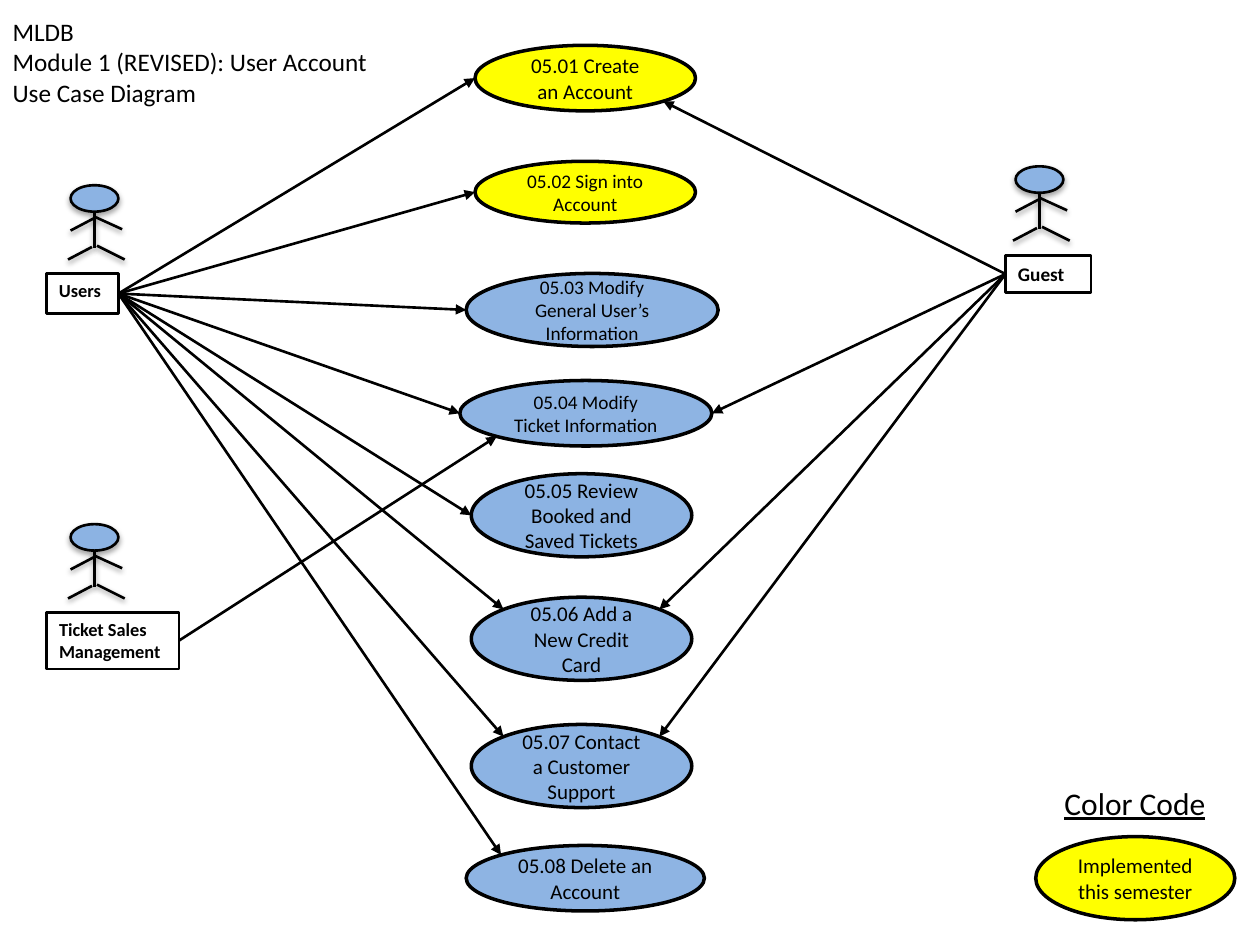
from lxml import etree
from pptx import Presentation
from pptx.dml.color import RGBColor
from pptx.enum.shapes import MSO_CONNECTOR, MSO_SHAPE
from pptx.enum.text import MSO_ANCHOR, MSO_AUTO_SIZE, PP_ALIGN
from pptx.oxml import parse_xml
from pptx.oxml.ns import qn
from pptx.util import Pt

PX = 9144  # EMU in one px, 100 px to the inch
OVAL, RECTANGLE = MSO_SHAPE.OVAL, MSO_SHAPE.RECTANGLE
STRAIGHT = MSO_CONNECTOR.STRAIGHT
LEFT, CENTER = PP_ALIGN.LEFT, PP_ALIGN.CENTER
TOP, MIDDLE = MSO_ANCHOR.TOP, MSO_ANCHOR.MIDDLE
LEFT_SIDE, RIGHT_SIDE = 1, 3

FONT = "Calibri"
BLACK, YELLOW, BLUE, LIGHT_BLUE = "000000", "FFFF00", "8EB4E3", "8CB3E3"
DRAWING = "http://schemas.openxmlformats.org/drawingml/2006/main"
SHADOW = (
    f'<a:outerShdw xmlns:a="{DRAWING}" blurRad="39400" dist="{{distance}}" '
    'dir="5400000" rotWithShape="0"><a:srgbClr val="000000">'
    '<a:alpha val="{alpha}"/></a:srgbClr></a:outerShdw>'
)

# Head-relative ends of each stick-figure line
LIMBS = [
    (19, 21, 19, 50),
    (19, 26, 0, 36),
    (17, 49, -2, 59),
    (19, 25, 41, 35),
    (21, 48, 43, 59),
]

# Number: (text, left, top, width, height, fill, text size)
USE_CASES = {
    1: ("05.01 Create an Account", 377, 36, 175, 52, YELLOW, 12),
    2: ("05.02 Sign into Account", 377, 128, 175, 49, YELLOW, 11),
    3: ("05.03 Modify General User’s Information", 370, 217, 200, 58, BLUE, 11),
    4: ("05.04 Modify Ticket Information", 365, 302, 200, 52, BLUE, 11),
    5: ("05.05 Review Booked and Saved Tickets", 374, 376, 175, 66, LIGHT_BLUE, 12),
    6: ("05.06 Add a New Credit Card", 374, 474, 175, 66, LIGHT_BLUE, 12),
    7: ("05.07 Contact a Customer Support", 374, 575, 175, 66, LIGHT_BLUE, 12),
    8: ("05.08 Delete an Account", 370, 671, 189, 52, BLUE, 12),
}

# Name: (head left, head top, label box, label size)
ACTORS = {
    "Users": (56, 147, (37, 217, 57, 32), 10.5),
    "Guest": (806, 132, (798, 203, 68, 29), 11),
    "Ticket Sales Management": (56, 416, (37, 486, 105, 45), 10.5),
}

# Actor: (side of its label, [(use case, point on the ellipse)])
LINKS = {
    "Users": (RIGHT_SIDE, [
        (1, "left"), (2, "left"), (3, "left"), (4, "left"), (5, "left"),
        (6, "top left"), (7, "top left"), (8, "top left"),
    ]),
    "Guest": (LEFT_SIDE, [
        (1, "bottom right"), (4, "right"), (6, "top right"), (7, "top right"),
    ]),
    "Ticket Sales Management": (RIGHT_SIDE, [(4, "bottom left")]),
}

# Ellipse points as directions from its centre
DIAGONAL = 0.5 ** 0.5
ELLIPSE_POINTS = {
    "left": (-1, 0),
    "right": (1, 0),
    "top left": (-DIAGONAL, -DIAGONAL),
    "top right": (DIAGONAL, -DIAGONAL),
    "bottom left": (-DIAGONAL, DIAGONAL),
    "bottom right": (DIAGONAL, DIAGONAL),
}


def color(value):
    return RGBColor.from_string(value)


def write(frame, text, size=12, align=LEFT, anchor=TOP, wrap=True, **font):
    """Fill a text frame, one paragraph for each line of the text."""
    frame.text = text
    frame.word_wrap = wrap
    frame.auto_size = MSO_AUTO_SIZE.NONE
    frame.vertical_anchor = anchor
    for para in frame.paragraphs:
        para.alignment = align
        for span in para.runs:
            span.font.name = FONT
            span.font.size = Pt(size)
            span.font.color.rgb = color(BLACK)
            for name, value in font.items():
                setattr(span.font, name, value)


def ellipse_point(oval, name):
    across, down = ELLIPSE_POINTS[name]
    x = oval.left + oval.width * (1 + across) / 2
    y = oval.top + oval.height * (1 + down) / 2
    return round(x), round(y)


class Diagram:
    def __init__(self, page):
        self.page = page

    def title(self, text, box):
        title = self.page.shapes.title
        title.left, title.top, title.width, title.height = [v * PX for v in box]
        write(title.text_frame, text, size=14.4, anchor=MIDDLE)
        title.text_frame.margin_bottom = 31 * PX

    def text(self, text, box, **style):
        label = self.page.shapes.add_textbox(*[v * PX for v in box])
        write(label.text_frame, text, **style)

    def shape(self, kind, box, fill=None, line=2, parent=None):
        shapes = (parent or self.page).shapes
        shape = shapes.add_shape(kind, *[v * PX for v in box])
        shape.shadow.inherit = False
        if fill:
            shape.fill.solid()
            shape.fill.fore_color.rgb = color(fill)
        else:
            shape.fill.background()
        shape.line.color.rgb = color(BLACK)
        shape.line.width = Pt(line)
        return shape

    def oval(self, text, box, fill, size):
        oval = self.shape(OVAL, box, fill)
        write(oval.text_frame, text, size=size, align=CENTER, anchor=MIDDLE)
        return oval

    def line(self, start, end, parent=None):
        shapes = (parent or self.page).shapes
        line = shapes.add_connector(STRAIGHT, *start, *end)
        line.line.color.rgb = color(BLACK)
        line.line.width = Pt(1.5)
        etree.SubElement(line._element.spPr, qn("a:effectLst"))
        return line

    def shadow(self, item, distance, alpha):
        effects = item._element.spPr.find(qn("a:effectLst"))
        effects.append(parse_xml(SHADOW.format(distance=distance, alpha=alpha)))

    def actor(self, name, left, top, label_box, size):
        group = self.page.shapes.add_group_shape()
        head = self.shape(OVAL, (left, top, 38, 21), LIGHT_BLUE, 1.5, group)
        self.shadow(head, 23000, 35000)
        for x1, y1, x2, y2 in LIMBS:
            start = (left + x1) * PX, (top + y1) * PX
            end = (left + x2) * PX, (top + y2) * PX
            self.shadow(self.line(start, end, group), 20000, 38000)
        label = self.shape(RECTANGLE, label_box, line=1.5, parent=group)
        write(label.text_frame, name, size=size, bold=True)
        return label

    def arrow(self, label, side, oval, point):
        end = ellipse_point(oval, point)
        arrow = self.line(end, end)
        arrow.begin_connect(label, side)
        outline = arrow.line._get_or_add_ln()
        etree.SubElement(outline, qn("a:tailEnd"), type="triangle")


def main():
    deck = Presentation()
    deck.slide_width, deck.slide_height = 1000 * PX, 750 * PX
    page = deck.slides.add_slide(deck.slide_layouts[5])
    diagram = Diagram(page)

    # Title
    diagram.title(
        "MLDB\vModule 1 (REVISED): User Account\nUse Case Diagram",
        (0, 33, 333, 58),
    )

    # Use cases and actors
    ovals = {
        number: diagram.oval(text, box, fill, size)
        for number, (text, *box, fill, size) in USE_CASES.items()
    }
    labels = {name: diagram.actor(name, *place) for name, place in ACTORS.items()}

    # Links from actors to use cases
    for name, (side, targets) in LINKS.items():
        for number, point in targets:
            diagram.arrow(labels[name], side, ovals[number], point)

    # Color key
    diagram.text("Color Code", (835, 617, 133, 40), size=18, wrap=False, underline=True)
    diagram.oval("Implemented this semester", (822, 664, 158, 66), YELLOW, 12)

    deck.save("out.pptx")


if __name__ == "__main__":
    main()
